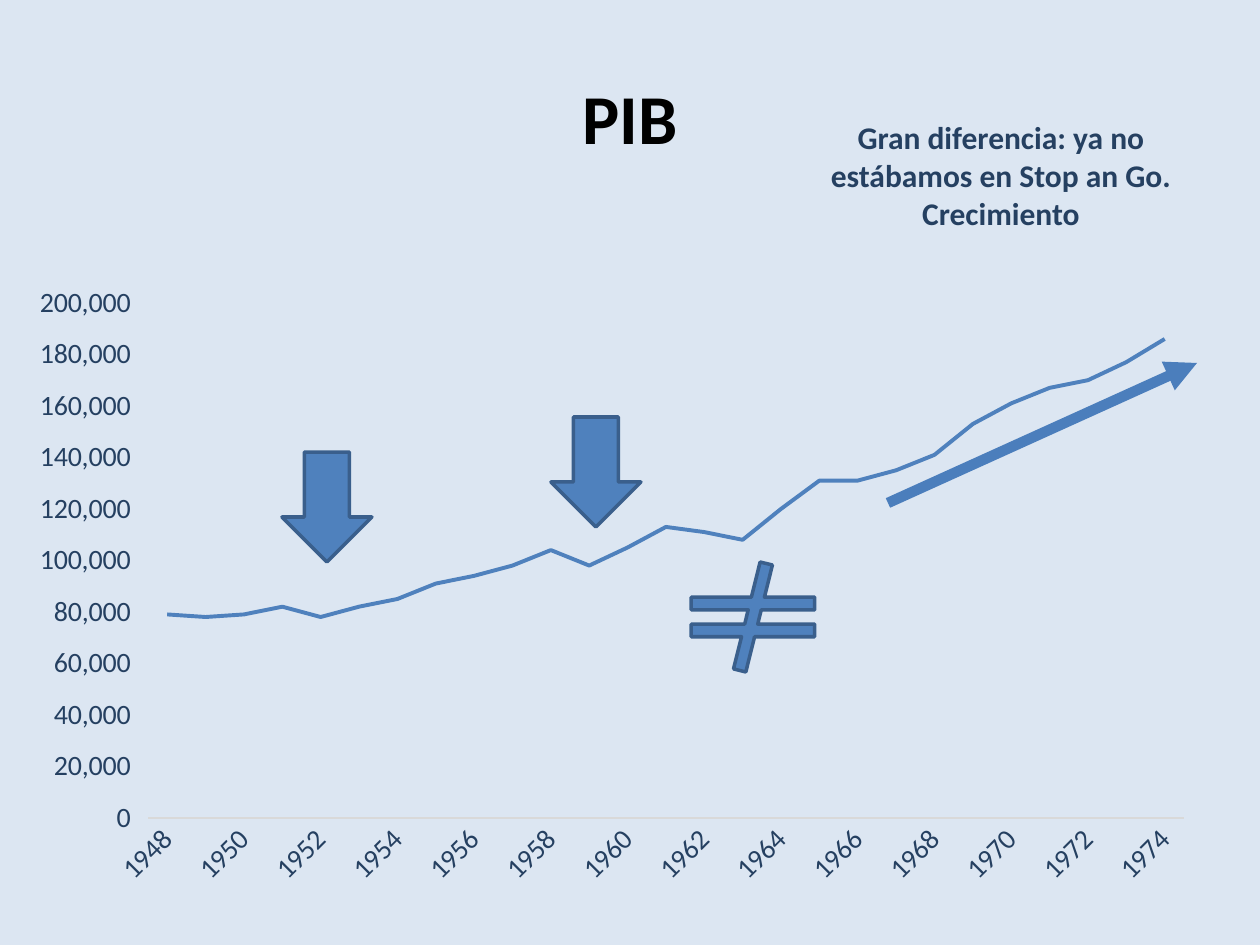
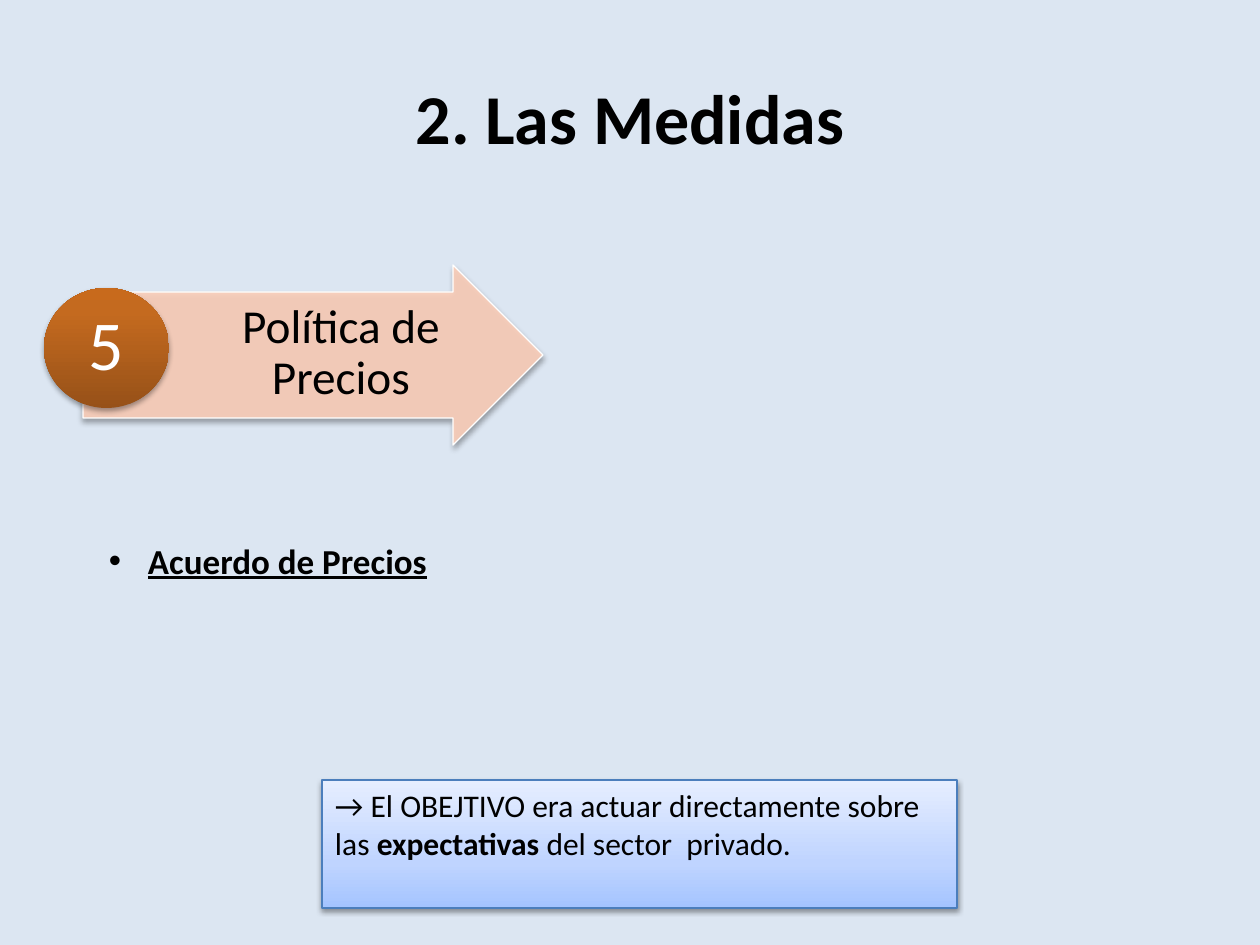
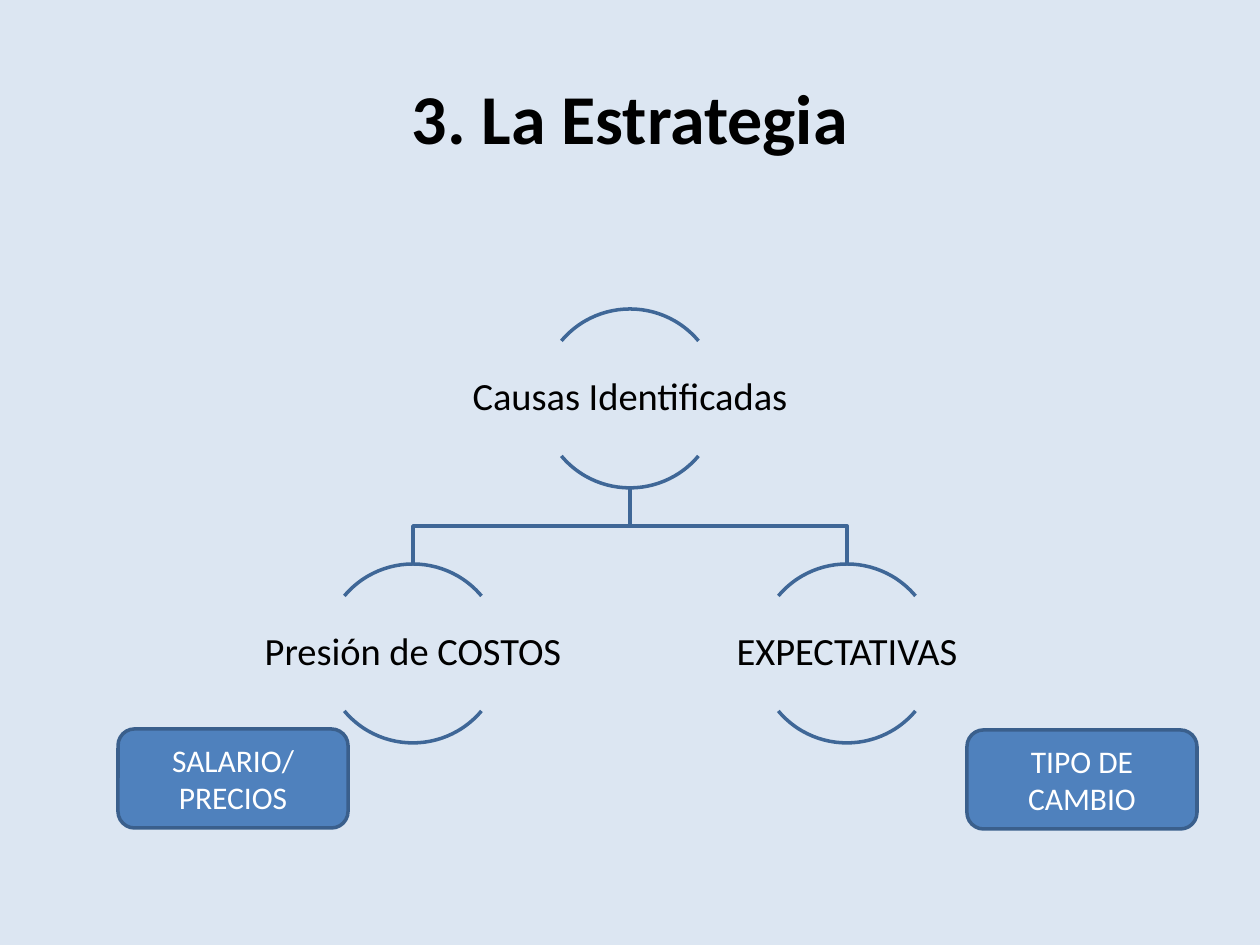
from dataclasses import dataclass

import pptx
import pptx.chart.data
import pptx.dml.color
import pptx.enum.chart
import pptx.enum.shapes
import pptx.enum.text
import pptx.oxml
import pptx.oxml.ns
import pptx.util

PX = pptx.util.Inches(1) / 126
SHAPE = pptx.enum.shapes.MSO_SHAPE
ALIGN = pptx.enum.text.PP_ALIGN
ANCHOR = pptx.enum.text.MSO_ANCHOR
qn = pptx.oxml.ns.qn


@dataclass(frozen=True)
class Theme:
    font: str = "Calibri"
    background: str = "DCE6F2"
    ink: str = "000000"
    white: str = "FFFFFF"
    navy: str = "254061"
    blue: str = "4F81BD"
    blue_edge: str = "3A5F8C"
    arrow: str = "4B7EBC"
    diagram: str = "3F6797"
    axis: str = "D9D9D9"
    peach: str = "FBCEB9"
    orange_stops: tuple = ((0, "975118"), (80, "C46A1F"), (100, "C86A1C"))
    sky_stops: tuple = ((0, "A4C4FF"), (35, "BFD4FF"), (100, "E6EEFF"))
    title_size: int = 40
    step_size: int = 27
    diagram_size: int = 22
    bullet_size: int = 20
    body_size: int = 18
    chart_size: int = 16


THEME = Theme()
SLIDE_SIZE = (1260, 945)
TITLE_AREA = (63, 38, 1134, 158)

GDP_FIRST_YEAR = 1948
GDP = [79000, 78000, 79000, 82000, 78000, 82000, 85000, 91000, 94000,
       98000, 104000, 98000, 105000, 113000, 111000, 108000, 120000,
       131000, 131000, 135000, 141000, 153000, 161000, 167000, 170000,
       177000, 186000]
CHART_AREA = (15, 275, 1192, 625)
PLOT_AREA = (148, 303, 1036, 515)
GROWTH_NOTE = ["Gran diferencia: ya no estábamos en Stop an Go.", "Crecimiento"]
RECESSION_ARROWS = [(282, 452), (551, 417)]

OBJECTIVE = [[("→ El OBEJTIVO era actuar directamente sobre las ", False),
              ("expectativas", True), (" del sector  privado.", False)]]

CAUSE_SIZE = 179
ROOT_CAUSE = ("Causas Identificadas", 630, 309)
CAUSES = [("Presión de COSTOS", 413, 564), ("EXPECTATIVAS", 847, 564)]
REMEDIES = [(["TIPO DE CAMBIO"], 967, 730), (["SALARIO/", "PRECIOS"], 118, 729)]


def emu(*lengths):
    return [round(length * PX) for length in lengths]


def rgb(colour):
    return pptx.dml.color.RGBColor.from_string(colour)


def set_font(font, size, colour, bold=False):
    font.name = THEME.font
    font.size = pptx.util.Pt(size)
    font.bold = bold
    font.color.rgb = rgb(colour)


def set_line(line, colour, width):
    line.color.rgb = rgb(colour)
    line.width = pptx.util.Pt(width)


def add_child(parent, tag, **attributes):
    child = parent.makeelement(qn(tag), attributes)
    parent.append(child)
    return child


def write(shape, paragraphs, size, colour, bold=False, align=ALIGN.CENTER,
          anchor=ANCHOR.MIDDLE, margins=(13, 6, 13, 6), spacing=None):
    """Fill a shape; a paragraph is a string or a list of (text, bold) spans."""
    frame = shape.text_frame
    frame.word_wrap = True
    frame.vertical_anchor = anchor
    (frame.margin_left, frame.margin_top,
     frame.margin_right, frame.margin_bottom) = emu(*margins)
    for index, spans in enumerate(paragraphs):
        para = frame.add_paragraph() if index else frame.paragraphs[0]
        para.alignment = align
        para.line_spacing = spacing
        if isinstance(spans, str):
            spans = [(spans, bold)]
        for text, is_bold in spans:
            span = para.add_run()
            span.text = text
            if is_bold != bold:
                span.font.bold = is_bold
        set_font(para.font, size, colour, bold)


def add_text(page, area, paragraphs, size, colour, **options):
    box = page.shapes.add_textbox(*emu(*area))
    write(box, paragraphs, size, colour, **options)
    return box


def add_shape(page, kind, area, fill=None, line=None, width=2):
    shape = page.shapes.add_shape(kind, *emu(*area))
    shape.shadow.inherit = False
    if fill:
        shape.fill.solid()
        shape.fill.fore_color.rgb = rgb(fill)
    else:
        shape.fill.background()
    if line:
        set_line(shape.line, line, width)
    else:
        shape.line.fill.background()
    return shape


def add_blue_shape(page, kind, area):
    return add_shape(page, kind, area, THEME.blue, THEME.blue_edge)


def fill_upward(shape, stops):
    """Gradient whose first stop is at the bottom."""
    shape.fill.gradient()
    shape.fill.gradient_angle = 90
    stop_list = shape.element.spPr.find(".//" + qn("a:gsLst"))
    for stop in list(stop_list):
        stop_list.remove(stop)
    for position, colour in stops:
        stop = add_child(stop_list, "a:gs", pos=str(position * 1000))
        add_child(stop, "a:srgbClr", val=colour)


def drop_shadow(shape, distance, opacity):
    effects = shape.element.spPr.find(qn("a:effectLst"))
    shadow = add_child(effects, "a:outerShdw", blurRad=str(pptx.util.Pt(3.1)),
                       dist=str(pptx.util.Pt(distance)), dir="5400000",
                       rotWithShape="0")
    colour = add_child(shadow, "a:srgbClr", val=THEME.ink)
    add_child(colour, "a:alpha", val=str(opacity * 1000))


def add_page(deck, title):
    page = deck.slides.add_slide(deck.slide_layouts[6])
    add_text(page, TITLE_AREA, [title], THEME.title_size, THEME.ink, bold=True)
    return page


def place_plot(chart):
    """Fix the inner plot area as fractions of the chart area."""
    plot_area = chart.element.find(".//" + qn("c:plotArea"))
    layout = plot_area.find(qn("c:layout"))
    if layout is None:
        layout = plot_area.makeelement(qn("c:layout"), {})
        plot_area.insert(0, layout)
    manual = add_child(layout, "c:manualLayout")
    left, top, width, height = CHART_AREA
    fractions = {"x": (PLOT_AREA[0] - left) / width,
                 "y": (PLOT_AREA[1] - top) / height,
                 "w": PLOT_AREA[2] / width, "h": PLOT_AREA[3] / height}
    add_child(manual, "c:layoutTarget", val="inner")
    for name in "xy":
        add_child(manual, f"c:{name}Mode", val="edge")
    for name, fraction in fractions.items():
        add_child(manual, f"c:{name}", val=f"{fraction:.4f}")


def add_gdp_chart(page):
    data = pptx.chart.data.CategoryChartData()
    data.categories = [str(GDP_FIRST_YEAR + index) for index in range(len(GDP))]
    data.add_series("Series 1", GDP)
    chart = page.shapes.add_chart(pptx.enum.chart.XL_CHART_TYPE.LINE,
                                  *emu(*CHART_AREA), data).chart
    chart.has_legend = False
    chart.has_title = False
    set_font(chart.font, THEME.chart_size, THEME.navy)
    chart.plots[0].vary_by_categories = False
    series = chart.plots[0].series[0]
    series.smooth = False
    series.marker.style = pptx.enum.chart.XL_MARKER_STYLE.NONE
    set_line(series.format.line, THEME.blue, 2.25)

    years, values = chart.category_axis, chart.value_axis
    for axis in (years, values):
        axis.has_major_gridlines = False
        axis.major_tick_mark = pptx.enum.chart.XL_TICK_MARK.NONE
        axis.minor_tick_mark = pptx.enum.chart.XL_TICK_MARK.NONE
        set_font(axis.tick_labels.font, THEME.chart_size, THEME.navy)
    set_line(years.format.line, THEME.axis, 0.75)
    years_xml = chart.element.find(".//" + qn("c:catAx"))
    years_xml.find(".//" + qn("a:bodyPr")).set("rot", "-2700000")
    skip = years_xml.makeelement(qn("c:tickLblSkip"), {"val": "2"})
    years_xml.find(qn("c:noMultiLvlLbl")).addprevious(skip)
    values.format.line.fill.background()
    values.minimum_scale, values.maximum_scale = 0, 200000
    values.major_unit = 20000
    values.tick_labels.number_format = r"#,##0\ \ "
    values.tick_labels.number_format_is_linked = False
    place_plot(chart)


def add_growth_arrow(page):
    arrow = page.shapes.add_connector(pptx.enum.shapes.MSO_CONNECTOR.STRAIGHT,
                                      *emu(888, 503, 1197, 363))
    set_line(arrow.line, THEME.arrow, 6)
    properties = arrow.element.spPr
    add_child(properties.find(qn("a:ln")), "a:tailEnd", type="triangle")
    add_child(properties, "a:effectLst")


def build_gdp(deck):
    page = add_page(deck, "PIB")
    add_gdp_chart(page)
    add_growth_arrow(page)
    for left, top in RECESSION_ARROWS:
        add_blue_shape(page, SHAPE.DOWN_ARROW, (left, top, 90, 110))
    unequal = add_blue_shape(page, SHAPE.MATH_NOT_EQUAL, (669, 562, 168, 110))
    for index, value in enumerate((0.115, 62.38, 0.13)):
        unequal.adjustments[index] = value
    add_text(page, (805, 112, 392, 127), GROWTH_NOTE, THEME.body_size,
             THEME.navy, bold=True, anchor=ANCHOR.TOP)


def build_measures(deck):
    page = add_page(deck, "2. Las Medidas")
    arrow = add_shape(page, SHAPE.RIGHT_ARROW, (83, 265, 460, 180),
                      THEME.peach, THEME.white, 0.75)
    arrow.adjustments[0] = 0.7
    arrow_colour = arrow.element.spPr.find(qn("a:solidFill"))[0]
    add_child(arrow_colour, "a:alpha", val="90000")
    drop_shadow(arrow, 1.8, 35)
    add_text(page, (198, 291, 282, 126), ["Política de Precios"],
             THEME.step_size, THEME.ink, margins=(9, 3, 5, 3), spacing=0.9)

    badge = add_shape(page, SHAPE.OVAL, (44, 288, 125, 120))
    fill_upward(badge, THEME.orange_stops)
    drop_shadow(badge, 1.8, 35)
    add_text(page, (62, 306, 88, 84), ["5"], THEME.title_size, THEME.white,
             margins=(4, 4, 4, 4), spacing=0.9)

    agreement = page.shapes.add_textbox(*emu(96, 533, 1101, 55))
    para = agreement.text_frame.paragraphs[0]
    indent = emu(39)[0]
    properties = para._p.get_or_add_pPr()
    properties.set("marL", str(indent))
    properties.set("indent", str(-indent))
    add_child(properties, "a:buFont", typeface="Arial")
    add_child(properties, "a:buChar", char="•")
    write(agreement, ["Acuerdo de Precios"], THEME.bullet_size, THEME.ink,
          bold=True, align=ALIGN.LEFT, anchor=ANCHOR.TOP)
    para.font.underline = True

    objective = add_shape(page, SHAPE.RECTANGLE, (322, 780, 635, 128),
                          line=THEME.arrow, width=0.75)
    fill_upward(objective, THEME.sky_stops)
    drop_shadow(objective, 1.6, 38)
    write(objective, OBJECTIVE, THEME.body_size, THEME.ink,
          align=ALIGN.LEFT, anchor=ANCHOR.TOP)


def add_branch(page, start, end):
    """Draw an elbow line that turns halfway down."""
    middle = (start[1] + end[1]) / 2
    builder = page.shapes.build_freeform(*start, scale=PX)
    builder.add_line_segments([(start[0], middle), (end[0], middle), end],
                              close=False)
    branch = builder.convert_to_shape()
    branch.shadow.inherit = False
    branch.fill.background()
    set_line(branch.line, THEME.diagram, 2)


def add_cause(page, text, center, top):
    for angles in ((220, 320), (40, 140)):
        arc = add_shape(page, SHAPE.ARC,
                        (center - CAUSE_SIZE / 2, top, CAUSE_SIZE, CAUSE_SIZE),
                        line=THEME.diagram)
        for index, degrees in enumerate(angles):
            arc.adjustments[index] = degrees * 0.6
    add_text(page, (center - 180, top + 32, 360, 115), [text],
             THEME.diagram_size, THEME.ink, margins=(3, 3, 3, 3), spacing=0.9)


def build_strategy(deck):
    page = add_page(deck, "3. La Estrategia")
    _, root_center, root_top = ROOT_CAUSE
    for _, center, top in CAUSES:
        add_branch(page, (root_center, root_top + CAUSE_SIZE), (center, top))
    for cause in [ROOT_CAUSE, *CAUSES]:
        add_cause(page, *cause)
    for lines, left, top in REMEDIES:
        remedy = add_blue_shape(page, SHAPE.ROUNDED_RECTANGLE,
                                (left, top, 230, 99))
        write(remedy, lines, THEME.body_size, THEME.white)


def main():
    deck = pptx.Presentation()
    deck.slide_width, deck.slide_height = emu(*SLIDE_SIZE)
    background = deck.slide_master.background.fill
    background.solid()
    background.fore_color.rgb = rgb(THEME.background)
    build_gdp(deck)
    build_measures(deck)
    build_strategy(deck)
    deck.save("out.pptx")


if __name__ == "__main__":
    main()
